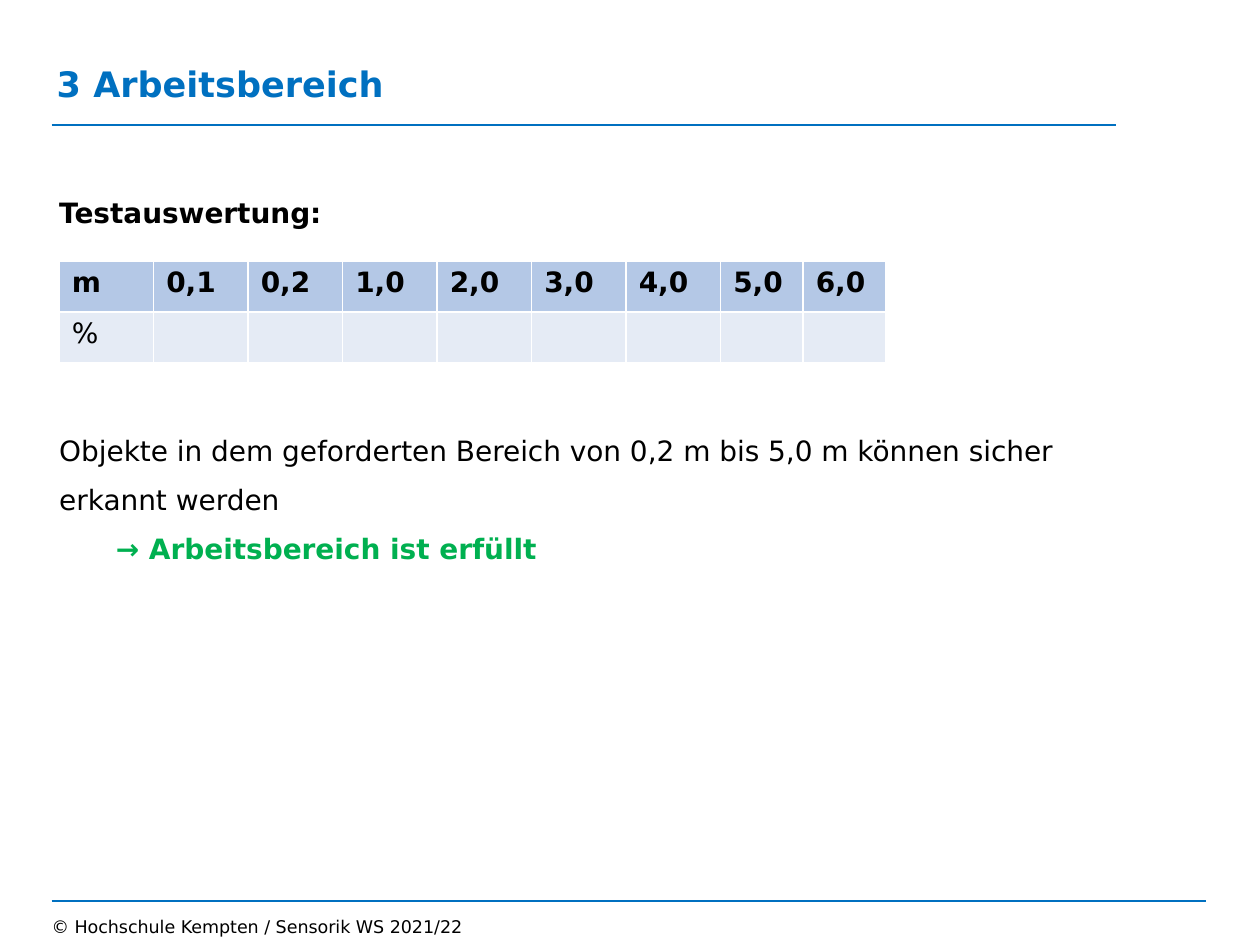
from lxml import etree
from pptx import Presentation, util as u
from pptx.dml.color import RGBColor
from pptx.enum import shapes, text
from pptx.oxml.ns import qn

BLUE = RGBColor(0x00, 0x70, 0xC0)
GREEN = RGBColor(0x00, 0xB0, 0x50)
BLACK = RGBColor(0x00, 0x00, 0x00)
HEAD = RGBColor(0xB4, 0xC8, 0xE6)
PALE = RGBColor(0xE5, 0xEB, 0xF5)

deck = Presentation()
deck.slide_width, deck.slide_height = u.Inches(10), u.Inches(7.5)
COL, ROW = deck.slide_width / 100, deck.slide_height / 100
slide = deck.slides.add_slide(deck.slide_layouts[5])


def grid(x, y, w, h):
    return int(x * COL), int(y * ROW), int(w * COL), int(h * ROW)


def write(shape, lines, size, anchor=text.MSO_ANCHOR.TOP):
    """Fill a shape, without margins, from (words, colour, bold) lines."""
    frame = shape.text_frame
    frame.word_wrap = True
    frame.auto_size = text.MSO_AUTO_SIZE.NONE
    frame.vertical_anchor = anchor
    frame.margin_left = frame.margin_right = 0
    frame.margin_top = frame.margin_bottom = 0
    frame.text = "\n".join(words for words, _, _ in lines)
    for para, (_, tone, bold) in zip(frame.paragraphs, lines):
        para.alignment = text.PP_ALIGN.LEFT
        para.space_before = u.Pt(8.7)
        font = para.font
        font.name, font.size, font.bold = "DejaVu Sans", u.Pt(size), bold
        font.color.rgb = tone
    return frame


# Rules under the title and above the footer
for y, end in ((13.2, 88.6), (95.33, 95.7)):
    x, top, right, _ = grid(4.1, y, end, 0)
    rule = slide.shapes.add_connector(
        shapes.MSO_CONNECTOR.STRAIGHT, x, top, right, top)
    rule.line.color.rgb = BLUE
    rule.line.width = u.Pt(1)
    etree.SubElement(rule._element.spPr, qn("a:effectLst"))

title = slide.shapes.title
title.left, title.top, title.width, title.height = grid(4.5, 4.13, 57.9, 6.93)
write(title, [("3 Arbeitsbereich", BLUE, True)], 20, text.MSO_ANCHOR.BOTTOM)

lead = slide.shapes.add_textbox(*grid(4.7, 20.67, 89.1, 4))
write(lead, [("Testauswertung:", BLACK, True)], 16)

result = slide.shapes.add_textbox(*grid(4.7, 45.93, 89.1, 16))
frame = write(result, [
    ("Objekte in dem geforderten Bereich von 0,2 m bis 5,0 m können sicher",
     BLACK, False),
    ("erkannt werden", BLACK, False),
    ("→ Arbeitsbereich ist erfüllt", GREEN, True),
], 16)
indent = frame.paragraphs[-1]._p.get_or_add_pPr()
indent.set("marL", str(int(4.5 * COL)))

foot = slide.shapes.add_textbox(*grid(4.1, 95.47, 78.7, 3.73))
write(foot, [("© Hochschule Kempten / Sensorik WS 2021/22", BLACK, False)],
      10, text.MSO_ANCHOR.BOTTOM)

# Measuring table: distances above, percentages still open
dists = ["m", "0,1", "0,2", "1,0", "2,0", "3,0", "4,0", "5,0", "6,0"]
rows = [dists, ["%"] + [""] * (len(dists) - 1)]
table = slide.shapes.add_table(
    len(rows), len(dists), *grid(4.7, 27.6, 65.6, 10.8)).table
for i, col in enumerate(table.columns):
    col.width = int((7.5 if i < 7 else 6.55) * COL)
for r, words in enumerate(rows):
    table.rows[r].height = int(5.4 * ROW)
    for c, word in enumerate(words):
        cell = table.cell(r, c)
        cell.text = word
        cell.fill.solid()
        cell.fill.fore_color.rgb = PALE if r else HEAD
        font = cell.text_frame.paragraphs[0].font
        font.name, font.size, font.bold = "DejaVu Sans", u.Pt(16), r == 0
        font.color.rgb = BLACK

deck.save("out.pptx")
